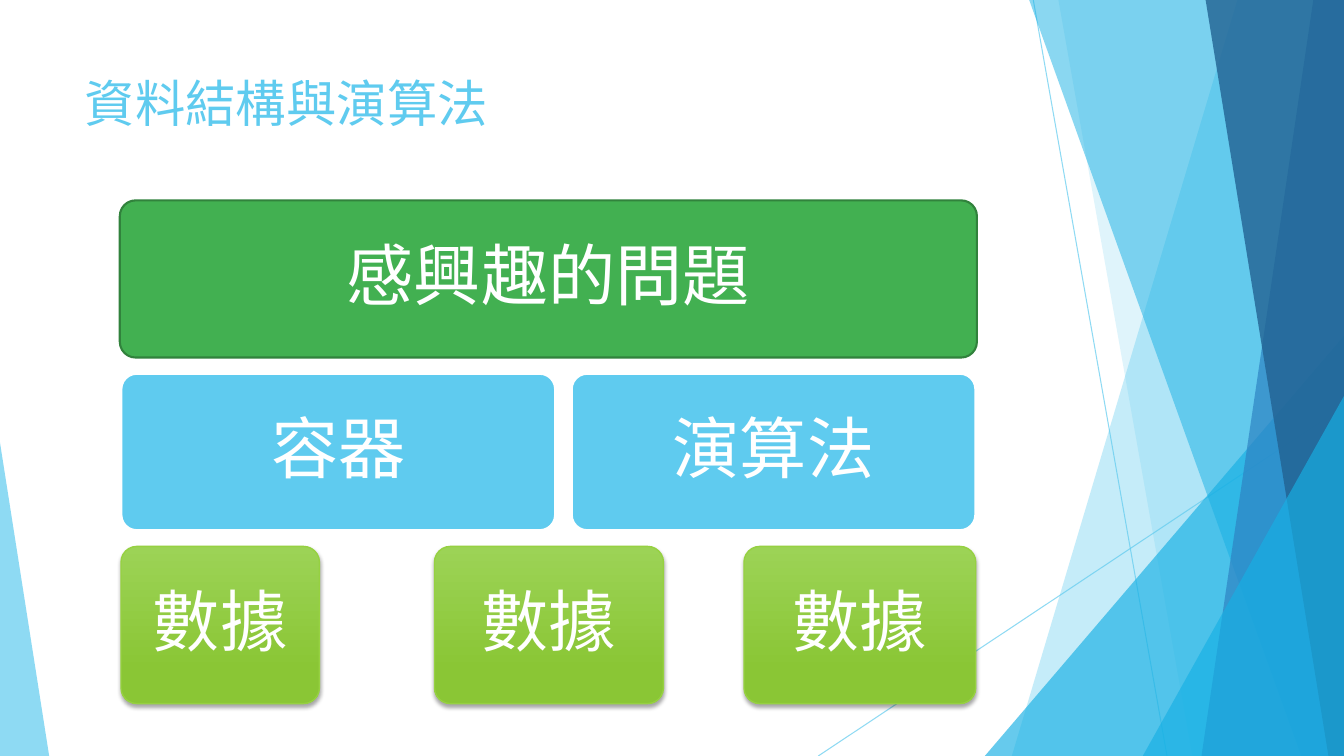
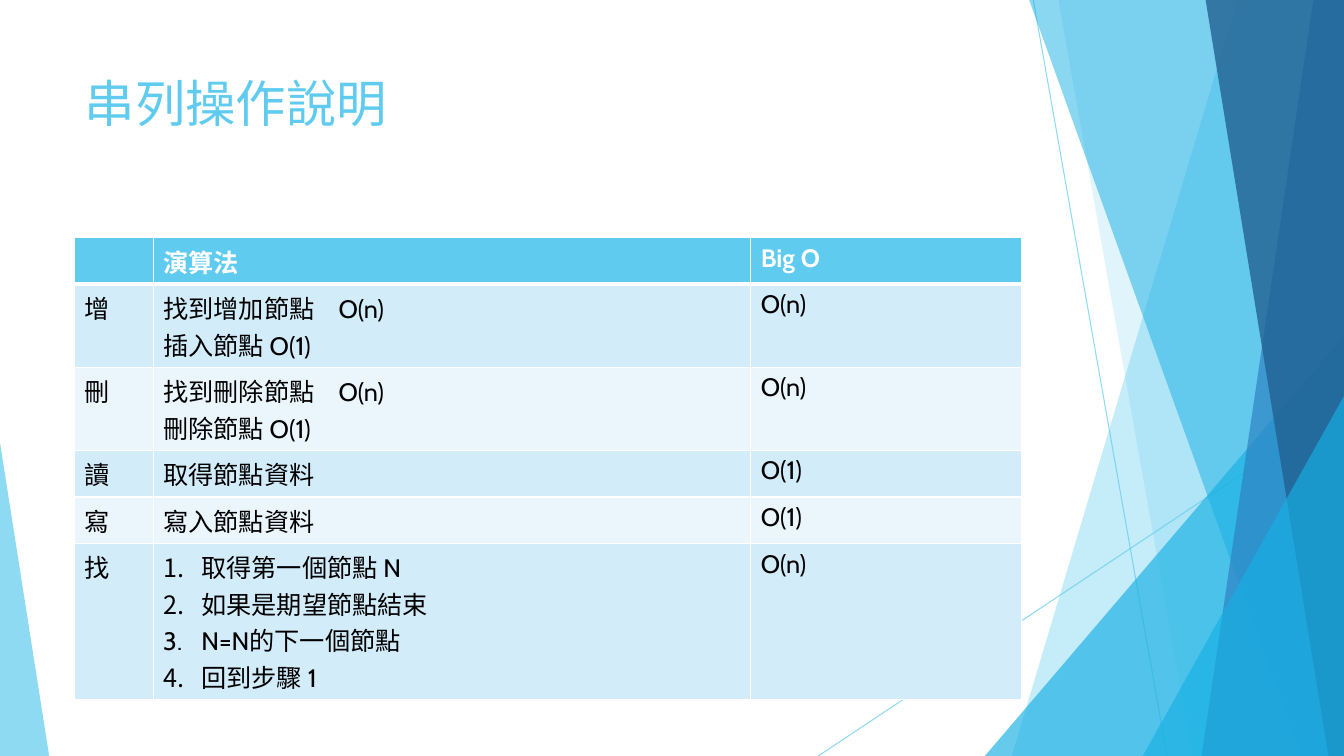
"""Build two slides on data structures and list operations."""
from lxml import etree
from pptx import Presentation
from pptx.dml.color import RGBColor
from pptx.enum.shapes import MSO_CONNECTOR, MSO_SHAPE
from pptx.enum.text import MSO_ANCHOR, PP_ALIGN
from pptx.oxml.ns import qn
from pptx.util import Cm, Pt

LINE = MSO_CONNECTOR.STRAIGHT
ROUND = MSO_SHAPE.ROUNDED_RECTANGLE
WEDGE = MSO_SHAPE.RIGHT_TRIANGLE
PEAK = MSO_SHAPE.ISOSCELES_TRIANGLE
TOP, MIDDLE = MSO_ANCHOR.TOP, MSO_ANCHOR.MIDDLE
LEFT, CENTER = PP_ALIGN.LEFT, PP_ALIGN.CENTER

FONT = "Cabin"
WIDE, HIGH = 33.87, 19.05
COLORS = {
    "sky": "5FCBEF", "aqua": "17B0E4", "blue": "2E83C3", "navy": "226292",
    "green": "42B051", "moss": "31823C", "lime": "9CD356", "leaf": "8AC635",
    "edge": "96D141", "pale": "D2ECF9", "mist": "EAF6FC",
    "white": "FFFFFF", "black": "000000",
}


def color(name):
    return RGBColor.from_string(COLORS[name])


def add(parent, tag, **attrs):
    node = etree.SubElement(parent, qn(tag))
    for key, value in attrs.items():
        node.set(key, str(value))
    return node


def write(frame, text, size=18, ink="black", bold=False, align=LEFT,
          space=None, tab=None, steps=False):
    """Write each line of text as a paragraph in the given format."""
    for i, line in enumerate(text.split("\n")):
        para = frame.paragraphs[0] if i == 0 else frame.add_paragraph()
        para.alignment = align
        if space:
            para.line_spacing = space
        props = para._p.get_or_add_pPr()
        if steps:
            props.set("marL", str(Cm(0.96)))
            props.set("indent", str(-Cm(0.96)))
            add(props, "a:buFont", typeface="+mj-lt")
            add(props, "a:buAutoNum", type="arabicPeriod")
        if tab and "\t" in line:
            stops = add(props, "a:tabLst")
            add(stops, "a:tab", pos=Cm(tab), algn="l")
        run = para.add_run()
        run.text = line
        run.font.name = FONT
        run.font.size = Pt(size)
        run.font.bold = bold
        run.font.color.rgb = color(ink)


def fade(shape, share):
    """Make the one colour of a shape partly clear."""
    tone = shape._element.find(".//" + qn("a:srgbClr"))
    add(tone, "a:alpha", val=share * 1000)


def tint(shape, name, share):
    shape.shadow.inherit = False
    shape.fill.solid()
    shape.fill.fore_color.rgb = color(name)
    shape.line.fill.background()
    fade(shape, share)


def ray(shapes, start, end):
    line = shapes.add_connector(LINE, *map(Cm, start + end))
    line.line.color.rgb = color("sky")
    line.line.width = Pt(0.75)
    add(line._element.spPr, "a:effectLst")
    fade(line, 70)


def band(shapes, top, foot, name, share):
    """Fill from a slanted left edge to the right side of the slide."""
    path = shapes.build_freeform(Cm(top), Cm(-0.02))
    points = [(WIDE, -0.02), (WIDE, HIGH), (foot, HIGH)]
    path.add_line_segments([(Cm(x), Cm(y)) for x, y in points])
    tint(path.convert_to_shape(), name, share)


def peak(shapes, left, top, right, tip, name, share):
    shape = shapes.add_shape(PEAK, Cm(left), Cm(top),
                             Cm(right - left), Cm(HIGH - top))
    shape.adjustments[0] = tip
    tint(shape, name, share)


def backdrop(deck, slide):
    """Draw the shared artwork once and move it to the master."""
    group = slide.shapes.add_group_shape()
    shapes = group.shapes
    ray(shapes, (26.04, 0), (29.41, HIGH))
    ray(shapes, (WIDE, 10.24), (20.62, HIGH))
    band(shapes, 31.19, 25.5, "sky", 36)
    band(shapes, 26.67, 30.05, "sky", 20)
    peak(shapes, 24.82, 8.46, WIDE, 1, "aqua", 66)
    band(shapes, 25.93, 32.79, "aqua", 50)
    band(shapes, 33.1, 30.28, "blue", 70)
    band(shapes, 30.38, 33.48, "navy", 80)
    peak(shapes, 28.8, 9.98, WIDE, 1, "aqua", 66)
    peak(shapes, 0, 11.15, 1.24, 0, "sky", 70)
    for i, node in enumerate(group._element.iter(qn("p:cNvPr"))):
        node.set("id", str(100 + i))
    deck.slide_master.shapes._spTree.insert(2, group._element)


def title(slide, text):
    shape = slide.shapes.title
    shape.left, shape.top = Cm(1.88), Cm(1.7)
    shape.width, shape.height = Cm(23.88), Cm(3.66)
    shape.text_frame.vertical_anchor = TOP
    write(shape.text_frame, text, size=36, ink="sky")


def gloss(shape):
    """Give a box a green gradient and a soft shadow."""
    shape.fill.gradient()
    shape.fill.gradient_angle = 270
    first, last = shape.fill.gradient_stops
    first.color.rgb, last.color.rgb = color("lime"), color("leaf")
    first.position, last.position = 0, 0.78
    effects = shape._element.spPr.find(qn("a:effectLst"))
    shade = add(effects, "a:outerShdw", blurRad=Pt(3), dist=Pt(2),
                dir=5400000, rotWithShape=0)
    tone = add(shade, "a:srgbClr", val=COLORS["black"])
    add(tone, "a:alpha", val=35000)


def box(slide, row, left, width, text, fill, edge, weight):
    shape = slide.shapes.add_shape(ROUND, Cm(left), Cm(5.05 + 4.36 * row),
                                   Cm(width), Cm(3.96))
    shape.adjustments[0] = 0.1
    shape.shadow.inherit = False
    shape.line.color.rgb = color(edge)
    shape.line.width = Pt(weight)
    if fill:
        shape.fill.solid()
        shape.fill.fore_color.rgb = color(fill)
    else:
        gloss(shape)
    frame = shape.text_frame
    frame.word_wrap = True
    frame.vertical_anchor = MIDDLE
    frame.margin_left = frame.margin_right = Cm(0.6)
    write(frame, text, size=48, ink="white", align=CENTER, space=0.9)


def border(cell, top, foot):
    props = cell._tc.get_or_add_tcPr()
    sides = {"a:lnL": 1, "a:lnR": 1, "a:lnT": top, "a:lnB": foot}
    for tag, weight in sides.items():
        line = add(props, tag, w=Pt(weight))
        fill = add(line, "a:solidFill")
        add(fill, "a:srgbClr", val=COLORS["white"])


def grid(slide, rows, widths):
    """Add a table with a strong head and banded rows."""
    table = slide.shapes.add_table(
        len(rows), len(widths), Cm(1.88), Cm(5.99),
        Cm(sum(widths)), Cm(1.03 * len(rows))).table
    for col, width in zip(table.columns, widths):
        col.width = Cm(width)
    for r, row in enumerate(rows):
        head = r == 0
        for c, text in enumerate(row):
            cell = table.cell(r, c)
            border(cell, 3 if r == 1 else 1, 3 if head else 1)
            cell.fill.solid()
            shade = "sky" if head else "pale" if r % 2 else "mist"
            cell.fill.fore_color.rgb = color(shade)
            if text:
                write(cell.text_frame, text, bold=head, tab=4.42,
                      ink="white" if head else "black",
                      steps=text.count("\n") > 1)


def main():
    deck = Presentation()
    deck.slide_width, deck.slide_height = Cm(WIDE), Cm(HIGH)
    layout = deck.slide_layouts[5]

    slide = deck.slides.add_slide(layout)
    backdrop(deck, slide)
    title(slide, "資料結構與演算法")
    box(slide, 0, 3.02, 21.6, "感興趣的問題", "green", "moss", 1.5)
    for left, width, text in [(3.05, 10.95, "容器"), (14.4, 10.19, "演算法")]:
        box(slide, 1, left, width, text, "sky", "white", 2)
    for left, width in [(3.05, 5), (10.95, 5.77), (18.75, 5.84)]:
        box(slide, 2, left, width, "數據", None, "edge", 1)

    slide = deck.slides.add_slide(layout)
    title(slide, "串列操作說明")
    grid(slide, [
        ("", "演算法", "Big O"),
        ("增", "找到增加節點\tO(n)\n插入節點 O(1)", "O(n)"),
        ("刪", "找到刪除節點\tO(n)\n刪除節點 O(1)", "O(n)"),
        ("讀", "取得節點資料", "O(1)"),
        ("寫", "寫入節點資料", "O(1)"),
        ("找", "取得第一個節點 N\n如果是期望節點結束\n"
               "N=N的下一個節點\n回到步驟 1", "O(n)"),
    ], (1.98, 15.06, 6.83))
    deck.save("out.pptx")


if __name__ == "__main__":
    main()
